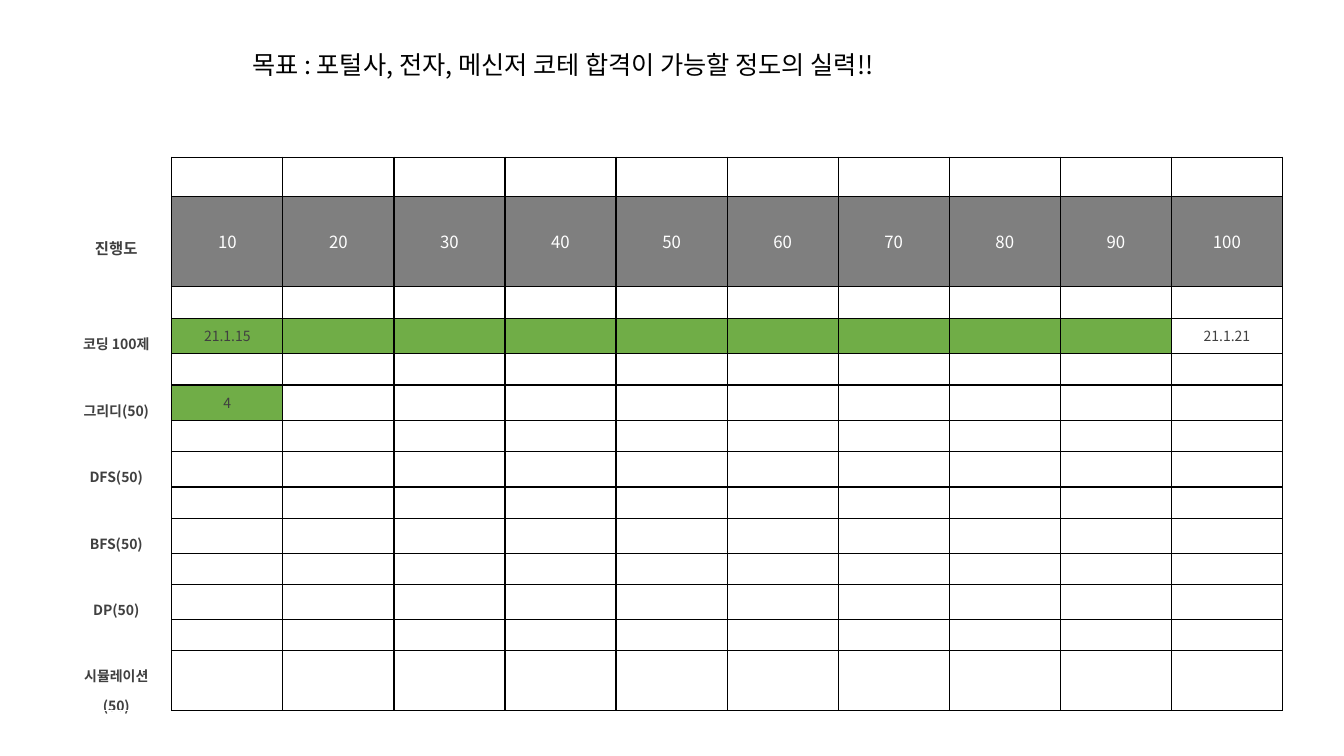
from lxml.etree import SubElement
from pptx import Presentation
from pptx.dml.color import RGBColor
from pptx.enum.text import MSO_ANCHOR as Anchor, MSO_AUTO_SIZE as AutoSize, PP_ALIGN as Align
from pptx.oxml.ns import qn
from pptx.util import Cm, Pt

FONT = "Noto Sans CJK KR"
BLACK, WHITE, GRAY, GREEN, DARK = "000000", "FFFFFF", "7F7F7F", "70AD47", "404040"
TITLE = "목표 : 포털사, 전자, 메신저 코테 합격이 가능할 정도의 실력!!"
STEPS = [str(step) for step in range(10, 101, 10)]
TOPICS = [
    ("코딩 100제", 9, {1: "21.1.15", 10: "21.1.21"}),
    ("그리디(50)", 1, {1: "4"}),
    ("DFS(50)", 0, {}),
    ("BFS(50)", 0, {}),
    ("DP(50)", 0, {}),
    ("시뮬레이션(50)", 0, {}),
]
ROW_HEIGHTS = [0.99, 2.28] + [0.79, 0.81] * 3 + [0.79] + [0.77] * 5
COLUMN_WIDTH = 2.8
LABEL_FORMAT = {"size": Pt(10), "bold": True}
VALUE_FORMAT = {"size": Pt(10), "bold": False}
STEP_FORMAT = {"size": Pt(12), "bold": False}


def color(value):
    """Return the colour for a hex string."""
    return RGBColor.from_string(value)


def set_attributes(target, values):
    """Set each attribute of the target from a dict."""
    for name, value in values.items():
        setattr(target, name, value)


def write(paragraph, text, font_format, font_color):
    """Add a formatted run to a paragraph."""
    run = paragraph.add_run()
    run.text = text
    set_attributes(run.font, {"name": FONT, **font_format})
    run.font.color.rgb = color(font_color)
    SubElement(run.font._element, qn("a:ea"), typeface=FONT)


def add_borders(cell, sides):
    """Draw black one-point borders on the given sides of a cell."""
    properties = cell._tc.get_or_add_tcPr()
    for index, side in enumerate(sides):
        line = properties.makeelement(qn(f"a:ln{side}"), {"w": str(Pt(1))})
        fill = SubElement(line, qn("a:solidFill"))
        SubElement(fill, qn("a:srgbClr"), val=BLACK)
        properties.insert(index, line)


def fill_cell(cell, text, font_format, font_color, **paragraph_format):
    """Write centred text in a cell, or keep an empty cell small."""
    cell.vertical_anchor = Anchor.MIDDLE
    paragraph = cell.text_frame.paragraphs[0]
    set_attributes(paragraph, {"alignment": Align.CENTER, **paragraph_format})
    if text:
        write(paragraph, text, font_format, font_color)
    else:
        paragraph._p.get_or_add_endParaRPr().set("sz", "1000")


def add_label(cell, text, font_format=LABEL_FORMAT):
    """Format a row label, bordered only towards the grid."""
    cell.fill.background()
    fill_cell(cell, text, font_format, DARK, line_spacing=1.5)
    add_borders(cell, "R")


def add_grid_cell(cell, text="", background=WHITE, font_format=VALUE_FORMAT, font_color=DARK):
    """Format a fully bordered cell of the progress grid."""
    cell.fill.solid()
    cell.fill.fore_color.rgb = color(background)
    fill_cell(cell, text, font_format, font_color)
    add_borders(cell, "LRTB")


def add_title(slide):
    """Place and format the title."""
    title = slide.shapes.title
    set_attributes(title, {"left": Cm(6.1), "top": Cm(1.12), "width": Cm(23.88), "height": Cm(1.02)})
    frame = title.text_frame
    set_attributes(frame, {"word_wrap": True, "auto_size": AutoSize.SHAPE_TO_FIT_TEXT,
                           "vertical_anchor": Anchor.TOP})
    paragraph = frame.paragraphs[0]
    paragraph.alignment = Align.LEFT
    write(paragraph, TITLE, {"size": Pt(18)}, BLACK)


def add_table(slide):
    """Add the empty progress table and return it."""
    column_count = len(STEPS) + 1
    table = slide.shapes.add_table(len(ROW_HEIGHTS), column_count, Cm(1.53), Cm(3.96),
                                   Cm(COLUMN_WIDTH * column_count), Cm(sum(ROW_HEIGHTS))).table
    set_attributes(table, {"first_row": False, "horz_banding": False})
    for column in table.columns:
        column.width = Cm(COLUMN_WIDTH)
    for row, height in zip(table.rows, ROW_HEIGHTS):
        row.height = Cm(height)
    return table


def add_step_row(table):
    """Fill the header row of progress steps."""
    add_label(table.cell(1, 0), "진행도", {"size": Pt(11), "bold": True})
    for column, step in enumerate(STEPS, 1):
        cell = table.cell(1, column)
        set_attributes(cell, dict.fromkeys(
            ("margin_left", "margin_right", "margin_top", "margin_bottom"), 0))
        add_grid_cell(cell, step, GRAY, STEP_FORMAT, WHITE)


def add_topic_row(table, row, label="", done=0, notes={}):
    """Fill a topic row, or a spacer row when no topic is given."""
    add_label(table.cell(row, 0), label)
    for column in range(1, len(STEPS) + 1):
        background = GREEN if column <= done else WHITE
        add_grid_cell(table.cell(row, column), notes.get(column, ""), background)


def main():
    """Build and save the study progress slide."""
    presentation = Presentation()
    set_attributes(presentation, {"slide_width": Cm(33.87), "slide_height": Cm(19.05)})
    slide = presentation.slides.add_slide(presentation.slide_layouts[5])
    table = add_table(slide)
    add_step_row(table)
    for row in range(0, len(ROW_HEIGHTS), 2):
        add_topic_row(table, row)
    for row, topic in zip(range(3, len(ROW_HEIGHTS), 2), TOPICS):
        add_topic_row(table, row, *topic)
    add_title(slide)
    presentation.save("out.pptx")


main()
